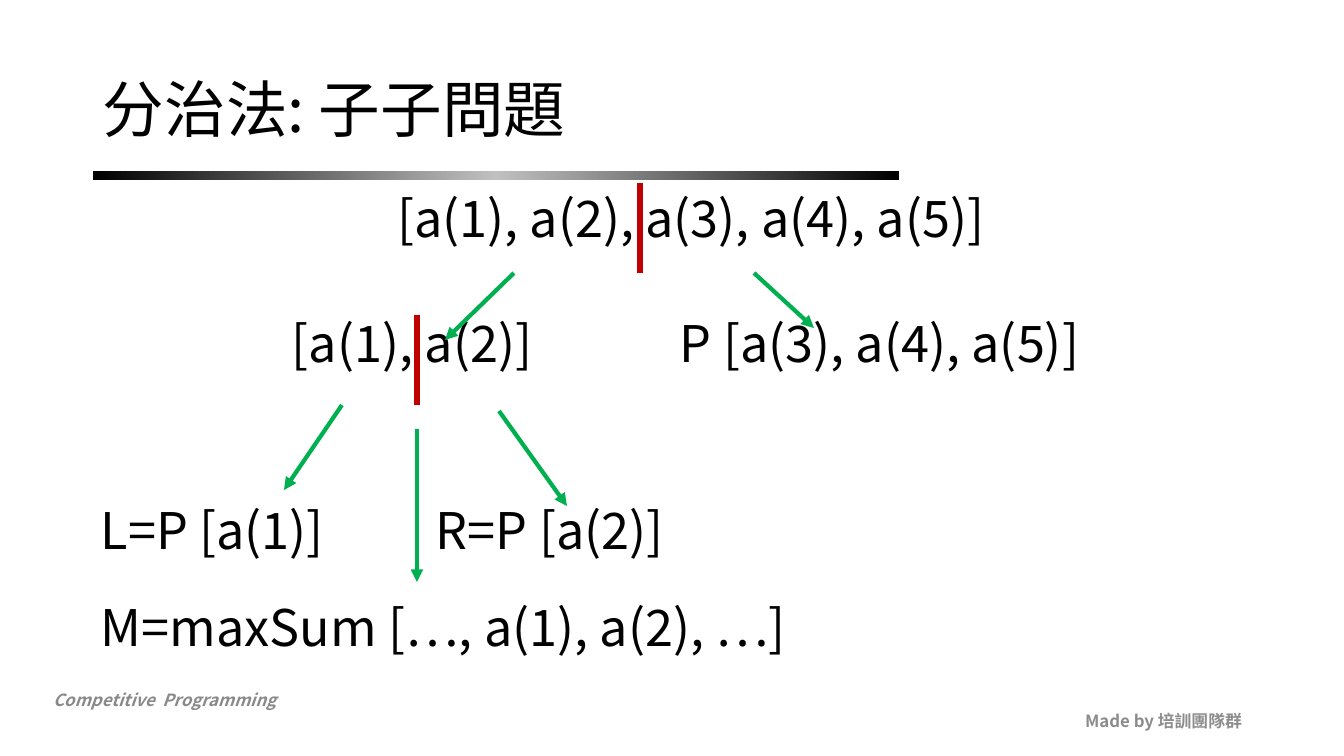
from lxml import etree
from pptx import Presentation
from pptx import util as u
from pptx.dml.color import RGBColor
from pptx.enum import shapes, text
from pptx.oxml import parse_xml
from pptx.oxml.ns import nsdecls, qn

PX = 914400 / 100.8
FONT = "Noto Sans CJK SC"
COLORS = {"ink": "000000", "silver": "C0C0C0", "footer": "898989",
          "credit": "8C8C8C", "split": "C00000", "arrow": "00B050"}


def add_text(page, words, left, top, width, height, size=36, color="ink", bold=False,
             italic=False, align="LEFT", anchor="TOP", inset=0, spacing=1.0):
    box = page.shapes.add_textbox(*(u.Emu(round(n * PX)) for n in (left, top, width, height)))
    frame = box.text_frame
    frame.word_wrap = True
    frame.margin_left = frame.margin_right = u.Emu(round(inset * PX))
    frame.margin_top = frame.margin_bottom = u.Emu(round(inset / 2 * PX))
    frame.vertical_anchor = text.MSO_ANCHOR[anchor]
    para = frame.paragraphs[0]
    para.alignment = text.PP_ALIGN[align]
    para.line_spacing = spacing
    span = para.add_run()
    span.text = words
    span.font.size = u.Pt(size)
    span.font.bold = bold
    span.font.italic = italic
    span.font.name = FONT
    span.font.color.rgb = RGBColor.from_string(COLORS[color])
    east_asian = etree.SubElement(span._r.get_or_add_rPr(), qn("a:ea"))
    east_asian.set("typeface", FONT)


def add_line(page, start, end, color, weight, arrow=False):
    line = page.shapes.add_connector(
        shapes.MSO_CONNECTOR.STRAIGHT, *(u.Emu(round(n * PX)) for n in start + end))
    line.line.color.rgb = RGBColor.from_string(COLORS[color])
    line.line.width = u.Pt(weight)
    if arrow:
        etree.SubElement(line.line._get_or_add_ln(), qn("a:tailEnd")).set("type", "triangle")
    etree.SubElement(line._element.spPr, qn("a:effectLst"))


deck = Presentation()
deck.slide_width = u.Emu(round(1344 * PX))
deck.slide_height = u.Emu(round(756 * PX))
page = deck.slides.add_slide(deck.slide_layouts[6])

# Footer
add_text(page, "Competitive  Programming", 43, 685, 428, 30, size=12, color="footer",
         bold=True, italic=True, inset=10)
add_text(page, "Made by 培訓團隊群", 950, 701, 302, 40, size=12, color="credit",
         bold=True, align="RIGHT", anchor="MIDDLE", inset=10)

# Title with its gradient rule
rule = page.shapes.add_shape(
    shapes.MSO_SHAPE.RECTANGLE, *(u.Emu(round(n * PX)) for n in (93, 171, 806, 9)))
rule.shadow.inherit = False
rule.line.fill.background()
stops = "".join(f'<a:gs pos="{at}"><a:srgbClr val="{COLORS[name]}"/></a:gs>'
                for at, name in ((0, "ink"), (50000, "silver"), (100000, "ink")))
gradient = parse_xml(f'<a:gradFill {nsdecls("a")} rotWithShape="1"><a:gsLst>{stops}</a:gsLst>'
                     '<a:lin ang="0" scaled="1"/></a:gradFill>')
rule._element.spPr.find(qn("a:prstGeom")).addnext(gradient)
add_text(page, "分治法: 子子問題", 93, 40, 1159, 146, size=44, anchor="MIDDLE",
         inset=10, spacing=0.9)

# Subproblems, level by level
for words, left, top, width in (
        ("[a(1), a(2), a(3), a(4), a(5)]", 397, 187, 630),
        ("[a(1), a(2)]", 292, 312, 280),
        ("P [a(3), a(4), a(5)]", 680, 312, 440),
        ("L=P [a(1)]", 101, 499, 260),
        ("R=P [a(2)]", 436, 499, 260),
        ("M=maxSum […, a(1), a(2), …]", 101, 596, 740)):
    add_text(page, words, left, top, width, 73)

# Split marks
for x, top in ((640, 183), (417, 315)):
    add_line(page, (x, top), (x, top + 90), "split", 4.5)

# Arrows to the smaller problems
for start, end in (((514, 273), (445, 340)), ((754, 273), (814, 328)),
                   ((342, 405), (284, 490)), ((499, 411), (567, 506)),
                   ((417, 429), (417, 582))):
    add_line(page, start, end, "arrow", 3, arrow=True)

deck.save("out.pptx")
